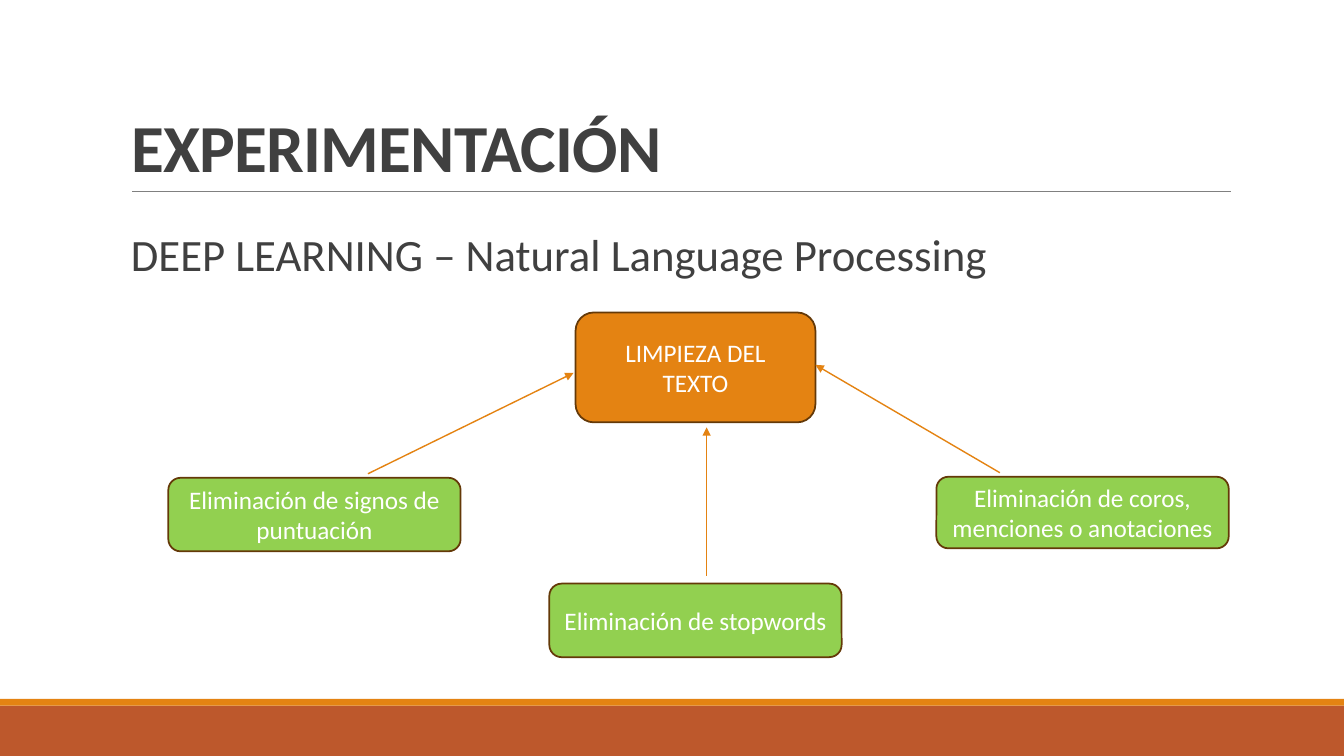
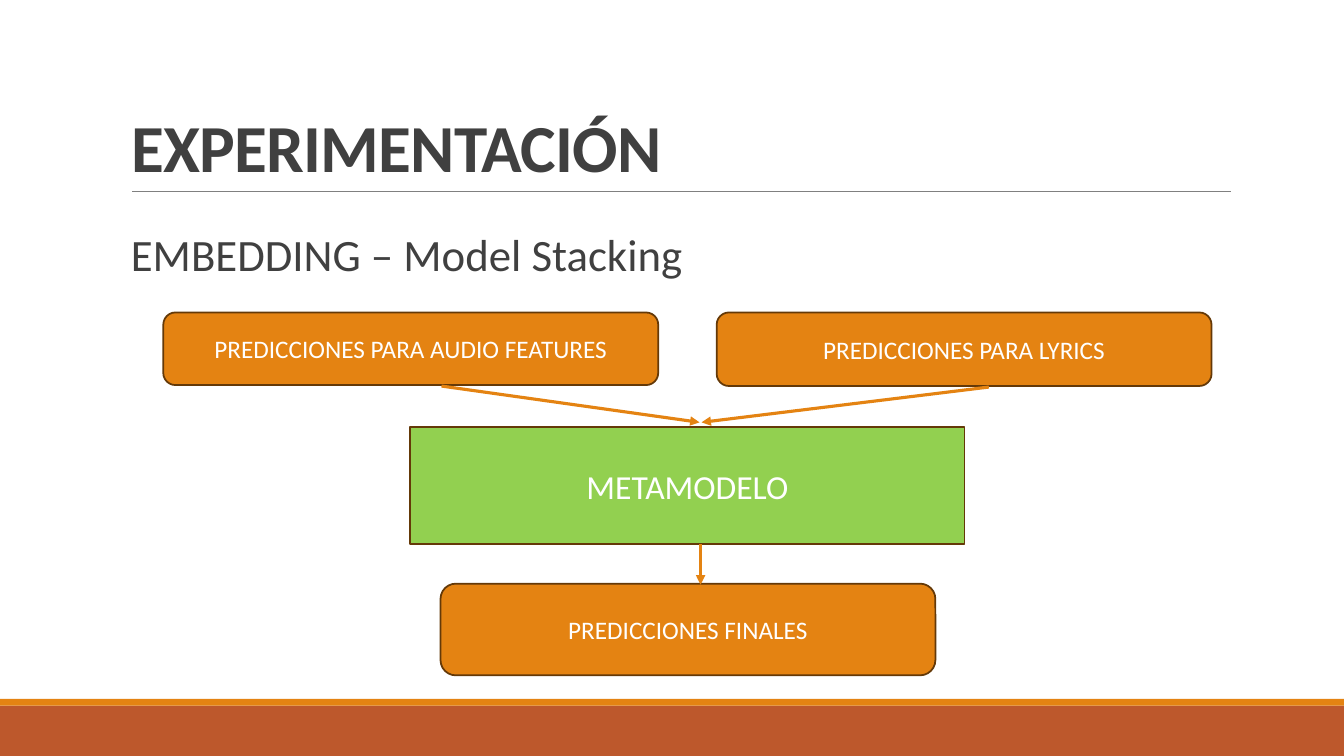
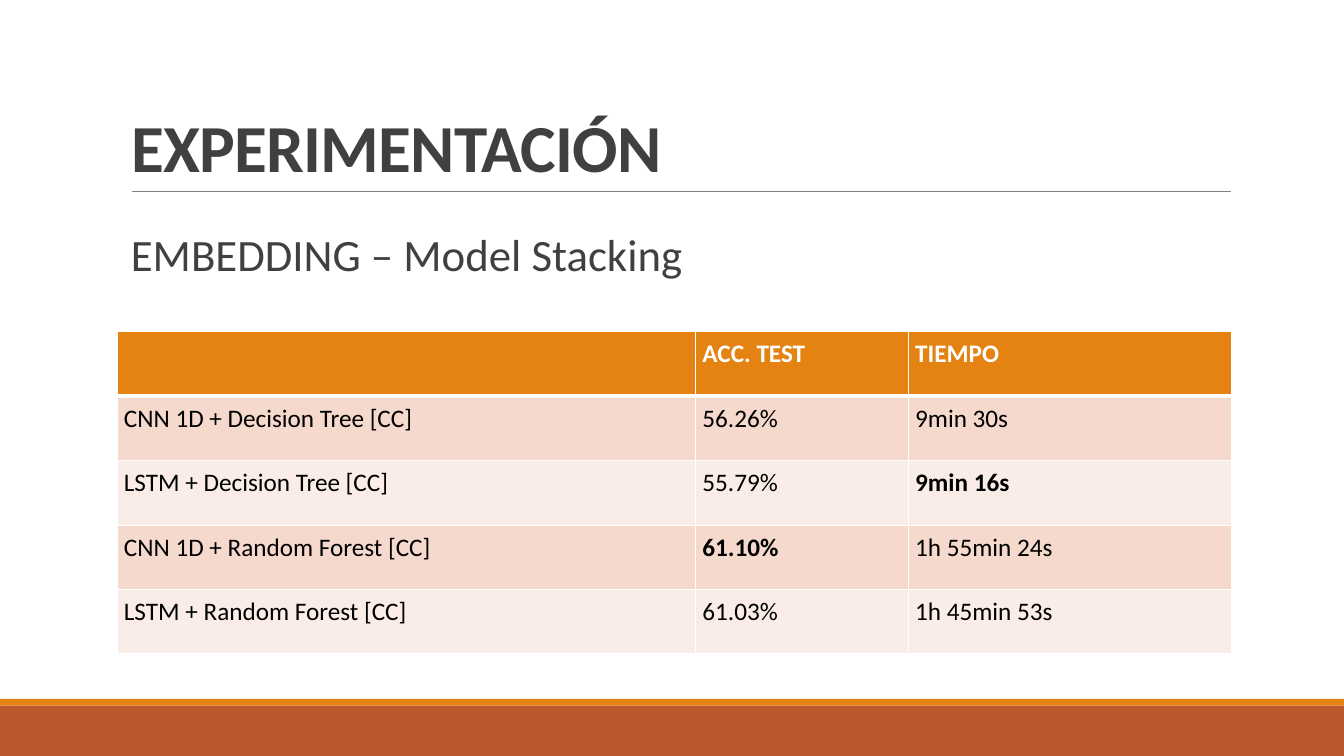
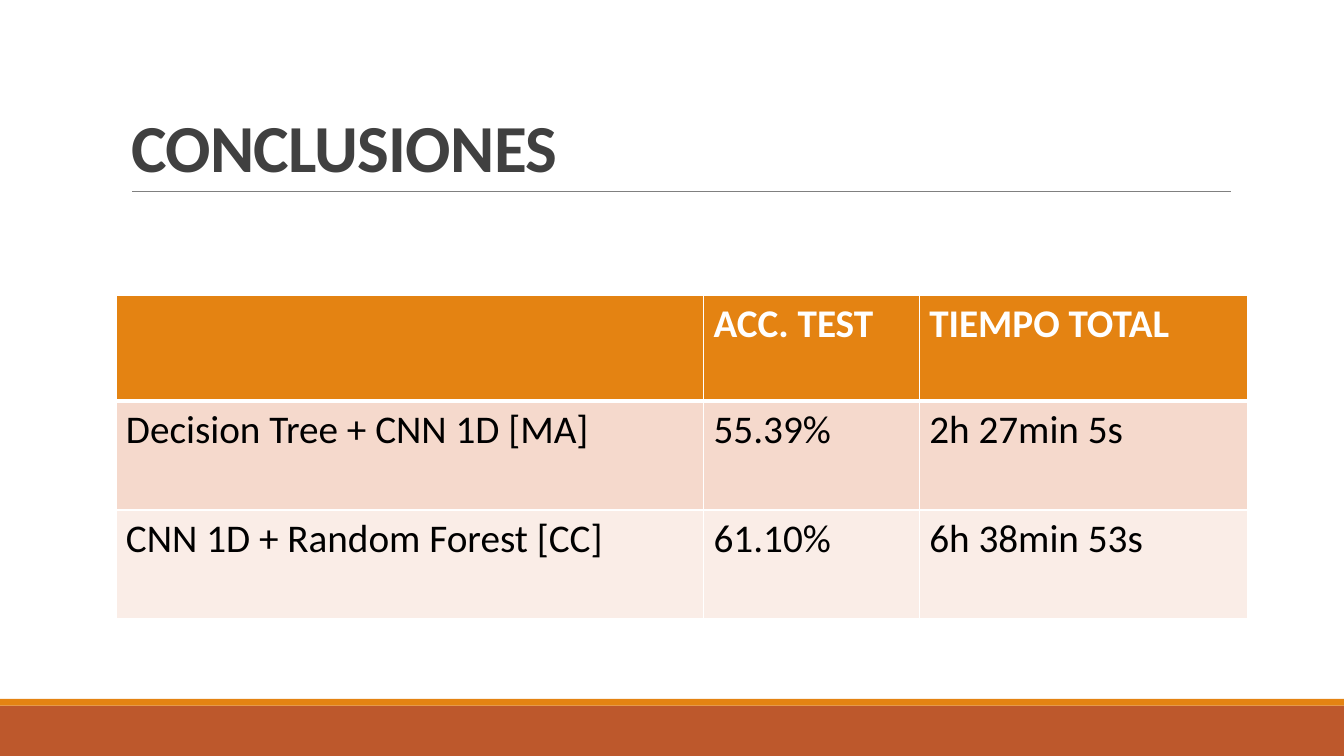
from lxml import etree
from pptx import Presentation
from pptx.dml.color import RGBColor
from pptx.enum.shapes import MSO_CONNECTOR, MSO_SHAPE
from pptx.enum.text import MSO_ANCHOR, MSO_AUTO_SIZE, PP_ALIGN
from pptx.oxml import parse_xml
from pptx.oxml.ns import nsdecls, qn
from pptx.util import Inches, Pt

ORANGE = RGBColor(0xE4, 0x83, 0x12)
RUST = RGBColor(0xBD, 0x58, 0x2C)
GREEN = RGBColor(0x92, 0xD0, 0x50)
BROWN = RGBColor(0x64, 0x39, 0x08)
GRAY = RGBColor(0x80, 0x80, 0x80)
DARK = RGBColor(0x40, 0x40, 0x40)
BLACK = RGBColor(0, 0, 0)
WHITE = RGBColor(0xFF, 0xFF, 0xFF)
ROW_TINTS = [RGBColor(0xFA, 0xED, 0xE7), RGBColor(0xF5, 0xD9, 0xCC)]
FONT = "Calibri"

deck = Presentation()
deck.slide_width = Inches(40 / 3)
deck.slide_height = Inches(7.5)

# The grid has 80 columns and 45 rows
COL = deck.slide_width / 80
ROW = deck.slide_height / 45


def place(left, top, width, height):
    """Turn grid columns and rows into slide lengths."""
    return int(left * COL), int(top * ROW), int(width * COL), int(height * ROW)


def add_line(slide, ends, color, weight, arrow=True):
    line = slide.shapes.add_connector(MSO_CONNECTOR.STRAIGHT, *place(*ends))
    line.line.color.rgb = color
    line.line.width = Pt(weight)
    if arrow:
        etree.SubElement(line.line._get_or_add_ln(), qn("a:tailEnd"), type="triangle")
    etree.SubElement(line.element.spPr, qn("a:effectLst"))
    return line


# Shared layout: title position, rule and bottom bands
layout = deck.slide_layouts.get_by_name("Title Only")
layout_title, *footer_fields = layout.placeholders
for field in footer_fields:
    field.element.getparent().remove(field.element)
layout_title.left, layout_title.top, layout_title.width, layout_title.height = place(7.2, 1.86, 66, 9.54)

TITLES = ["EXPERIMENTACIÓN", "EXPERIMENTACIÓN", "EXPERIMENTACIÓN", "CONCLUSIONES"]
slides = []
for heading in TITLES:
    slide = deck.slides.add_slide(layout)
    slides.append(slide)
    frame = slide.shapes.title.text_frame
    frame.text = heading
    frame.auto_size = MSO_AUTO_SIZE.NONE
    frame.vertical_anchor = MSO_ANCHOR.BOTTOM
    paragraph = frame.paragraphs[0]
    paragraph.alignment = PP_ALIGN.LEFT
    paragraph.line_spacing = 0.85
    run = paragraph.runs[0]
    run.font.name = FONT
    run.font.size = Pt(48)
    run.font.bold = True
    run.font.color.rgb = DARK
    run._r.get_or_add_rPr().set("spc", "-50")
process_slide, stacking_slide, results_slide, conclusions_slide = slides

decorations = [add_line(process_slide, (7.86, 11.4, 73.26, 11.4), GRAY, 0.5, arrow=False)]
for top, height, color in [(42, 3, RUST), (41.6, 0.4, ORANGE)]:
    band = process_slide.shapes.add_shape(MSO_SHAPE.RECTANGLE, *place(0, top, 80, height))
    band.shadow.inherit = False
    band.fill.solid()
    band.fill.fore_color.rgb = color
    band.line.fill.background()
    decorations.append(band)
for decoration in decorations:
    layout.shapes.element.append(decoration.element)

# Subtitles
for slide, subtitle in [
    (process_slide, "DEEP LEARNING – Natural Language Processing"),
    (stacking_slide, "EMBEDDING – Model Stacking"),
    (results_slide, "EMBEDDING – Model Stacking"),
]:
    frame = slide.shapes.add_textbox(*place(7.2, 13.56, 66, 24.96)).text_frame
    frame.word_wrap = True
    frame.text = subtitle
    paragraph = frame.paragraphs[0]
    paragraph.line_spacing = 0.9
    paragraph.font.name = FONT
    paragraph.font.size = Pt(32)
    paragraph.font.color.rgb = DARK

# Diagrams: boxes, then arrows
ROUNDED, SQUARE = MSO_SHAPE.ROUNDED_RECTANGLE, MSO_SHAPE.RECTANGLE
STEP_WIDTH = 17.4
PREDICTION_WIDTH = 29.46
DIAGRAMS = [
    (process_slide, 1, [
        ("LIMPIEZA DEL TEXTO", ROUNDED, ORANGE, 18, (34.26, 18.6, 14.28, 6.54)),
        ("Eliminación de stopwords", ROUNDED, GREEN, 18, (32.7, 34.74, STEP_WIDTH, 4.38)),
        ("Eliminación de coros, menciones o anotaciones", ROUNDED, GREEN, 18,
         (55.74, 28.38, STEP_WIDTH, 4.26)),
        ("Eliminación de signos de puntuación", ROUNDED, GREEN, 18,
         (10.02, 28.44, STEP_WIDTH, 4.38)),
    ], [
        (21.9, 28.2, 34.14, 22.2),
        (59.52, 28.14, 48.54, 21.72),
        (42.06, 34.26, 42.06, 25.44),
    ]),
    (stacking_slide, 2.25, [
        ("PREDICCIONES PARA AUDIO FEATURES", ROUNDED, ORANGE, 18,
         (9.72, 18.6, PREDICTION_WIDTH, 4.32)),
        ("PREDICCIONES PARA LYRICS", ROUNDED, ORANGE, 18, (42.66, 18.6, PREDICTION_WIDTH, 4.38)),
        ("METAMODELO", SQUARE, GREEN, 24, (24.42, 25.44, 33, 6.96)),
        ("PREDICCIONES FINALES", ROUNDED, ORANGE, 18, (26.22, 34.74, PREDICTION_WIDTH, 5.46)),
    ], [
        (26.28, 22.98, 41.64, 25.14),
        (58.86, 23.04, 41.76, 25.14),
        (41.7, 32.4, 41.7, 34.8),
    ]),
]
for slide, arrow_weight, steps, arrows in DIAGRAMS:
    for label, outline, color, size, area in steps:
        step = slide.shapes.add_shape(outline, *place(*area))
        step.shadow.inherit = False
        step.fill.solid()
        step.fill.fore_color.rgb = color
        step.line.color.rgb = BROWN
        step.line.width = Pt(1.25)
        frame = step.text_frame
        frame.word_wrap = True
        frame.vertical_anchor = MSO_ANCHOR.MIDDLE
        frame.text = label
        paragraph = frame.paragraphs[0]
        paragraph.alignment = PP_ALIGN.CENTER
        paragraph.font.name = FONT
        paragraph.font.size = Pt(size)
        paragraph.font.color.rgb = WHITE
    for ends in arrows:
        add_line(slide, ends, ORANGE, arrow_weight)

# Tables: origin, column widths, row heights, text size, side and top margins, bold cells, rows
TABLES = [
    (results_slide, (6.96, 19.74), (34.44, 12.66, 19.26), [3.84] * 5, 18, (0.07, 0.07),
     {"61.10%", "9min 16s"}, [
        ("", "ACC. TEST", "TIEMPO"),
        ("CNN 1D + Decision Tree [CC]", "56.26%", "9min 30s"),
        ("LSTM + Decision Tree [CC]", "55.79%", "9min 16s"),
        ("CNN 1D + Random Forest [CC]", "61.10%", "1h 55min 24s"),
        ("LSTM + Random Forest [CC]", "61.03%", "1h 45min 53s"),
    ]),
    (conclusions_slide, (6.9, 17.58), (34.98, 12.84, 19.56), [6.3, 6.48, 6.48], 28, (0.1, 0.05),
     set(), [
        ("", "ACC. TEST", "TIEMPO TOTAL"),
        ("Decision Tree + CNN 1D [MA]", "55.39%", "2h 27min 5s"),
        ("CNN 1D + Random Forest [CC]", "61.10%", "6h 38min 53s"),
    ]),
]
for slide, origin, widths, heights, size, margins, bold_cells, records in TABLES:
    area = place(*origin, sum(widths), sum(heights))
    table = slide.shapes.add_table(len(heights), len(widths), *area).table
    for column, width in zip(table.columns, widths):
        column.width = int(width * COL)
    for r, (height, record) in enumerate(zip(heights, records)):
        table.rows[r].height = int(height * ROW)
        is_header = r == 0
        edges = {"lnL": 1, "lnR": 1, "lnT": 3 if r == 1 else 1, "lnB": 3 if is_header else 1}
        for c, value in enumerate(record):
            cell = table.cell(r, c)
            cell.margin_left = cell.margin_right = Inches(margins[0])
            cell.margin_top = cell.margin_bottom = Inches(margins[1])
            for edge, weight in edges.items():
                cell._tc.get_or_add_tcPr().append(parse_xml(
                    f'<a:{edge} {nsdecls("a")} w="{Pt(weight)}"><a:solidFill>'
                    f'<a:srgbClr val="{WHITE}"/></a:solidFill></a:{edge}>'))
            cell.fill.solid()
            cell.fill.fore_color.rgb = ORANGE if is_header else ROW_TINTS[r % 2]
            cell.text = value
            font = cell.text_frame.paragraphs[0].font
            font.name = FONT
            font.size = Pt(size)
            font.bold = is_header or value in bold_cells
            font.color.rgb = WHITE if is_header else BLACK

deck.save("out.pptx")
